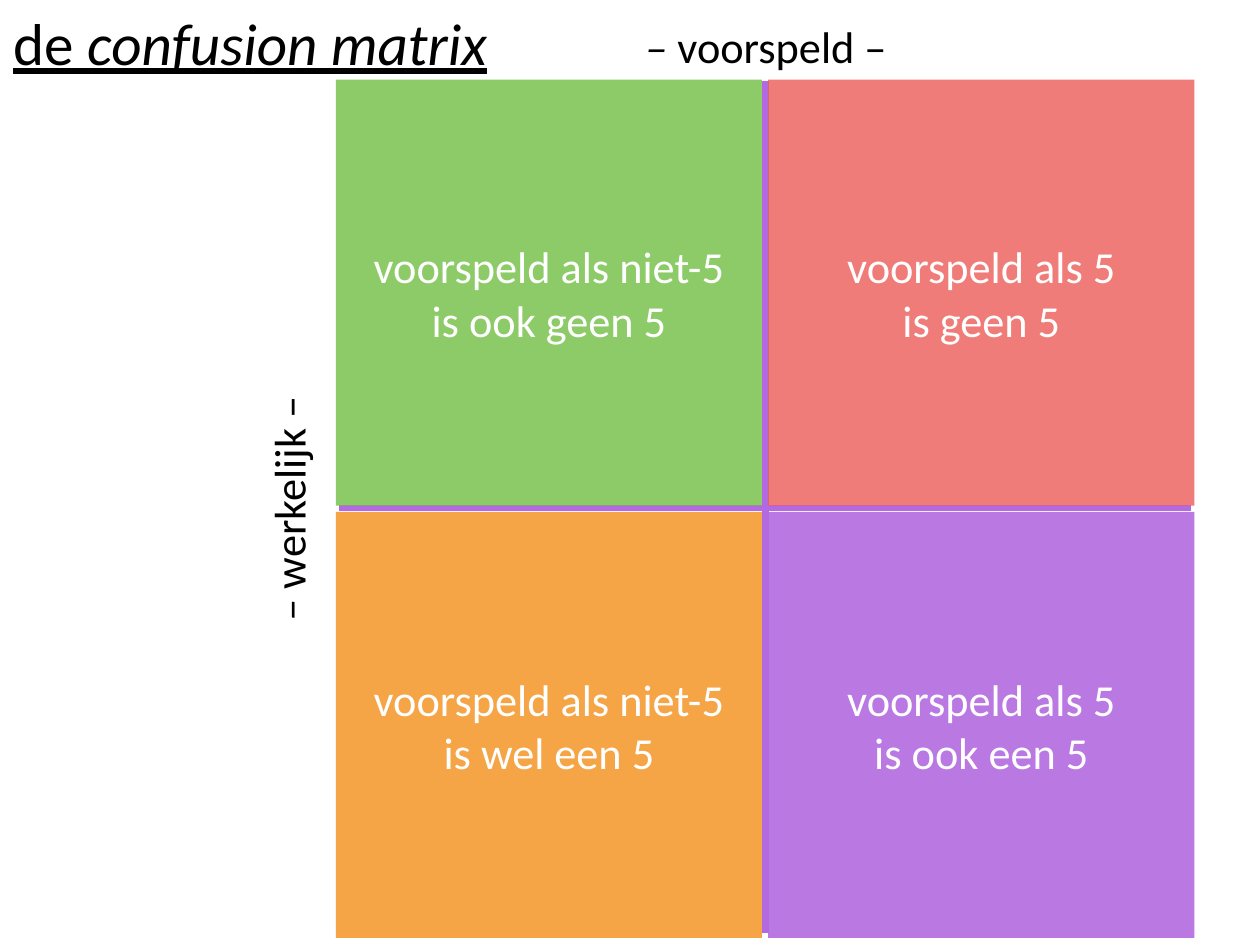
from dataclasses import dataclass

from lxml import etree
from pptx import Presentation
from pptx import util as u
from pptx.dml.color import RGBColor
from pptx.enum import shapes, text
from pptx.oxml.ns import qn


@dataclass(frozen=True)
class Theme:
    font: str = "Calibri"
    title_size: int = 48
    body_size: int = 36
    ink: str = "000000"
    light: str = "FFFFFF"
    green: str = "70BF41"
    red: str = "EC5C57"
    orange: str = "F38F18"
    purple: str = "B36AE1"


class MatrixSlide:
    """Draws styled elements on one title-only slide."""

    def __init__(self, deck, theme):
        self.theme = theme
        self.page = deck.slides.add_slide(deck.slide_layouts[5])

    def set_text(self, box, paragraphs, size, color, wrap=False):
        frame = box.text_frame
        frame.word_wrap = wrap
        frame.auto_size = text.MSO_AUTO_SIZE.NONE
        frame.vertical_anchor = text.MSO_ANCHOR.MIDDLE
        frame.margin_left = frame.margin_right = u.Inches(0.06)
        frame.margin_top = frame.margin_bottom = u.Inches(0.06)
        for index, spans in enumerate(paragraphs):
            para = frame.add_paragraph() if index else frame.paragraphs[0]
            para.alignment = text.PP_ALIGN.CENTER
            para.font.name = self.theme.font
            para.font.size = u.Pt(size)
            para.font.color.rgb = RGBColor.from_string(color)
            for words, italic in spans:
                span = para.add_run()
                span.text = words
                span.font.italic = italic

    def title(self, spans, left, top, width, height):
        box = self.page.shapes.title
        box.left, box.top = u.Inches(left), u.Inches(top)
        box.width, box.height = u.Inches(width), u.Inches(height)
        self.set_text(box, [spans], self.theme.title_size, self.theme.ink)
        for span in box.text_frame.paragraphs[0].runs:
            span.font.underline = True

    def label(self, spans, left, top, width, height, rotation=0):
        box = self.page.shapes.add_textbox(
            u.Inches(left), u.Inches(top), u.Inches(width), u.Inches(height))
        box.rotation = rotation
        self.set_text(box, [spans], self.theme.body_size, self.theme.ink)

    def divider(self, x1, y1, x2, y2):
        line = self.page.shapes.add_connector(
            shapes.MSO_CONNECTOR.STRAIGHT,
            u.Inches(x1), u.Inches(y1), u.Inches(x2), u.Inches(y2))
        line.line.color.rgb = RGBColor.from_string(self.theme.purple)
        line.line.width = u.Pt(5)
        etree.SubElement(line._element.spPr, qn("a:effectLst"))

    def quadrant(self, lines, left, top, side, color, opacity):
        box = self.page.shapes.add_shape(
            shapes.MSO_SHAPE.RECTANGLE,
            u.Inches(left), u.Inches(top), u.Inches(side), u.Inches(side))
        box.shadow.inherit = False
        box.line.fill.background()
        box.fill.solid()
        box.fill.fore_color.rgb = RGBColor.from_string(color)
        tint = box._element.spPr.find(qn("a:solidFill"))[0]
        etree.SubElement(tint, qn("a:alpha"), val=str(opacity * 1000))
        self.set_text(box, [[(words, False)] for words in lines],
                      self.theme.body_size, self.theme.light, wrap=True)


def main():
    deck = Presentation()
    deck.slide_width, deck.slide_height = u.Inches(14.22), u.Inches(10.67)
    theme = Theme()
    slide = MatrixSlide(deck, theme)

    slide.divider(8.64, 10.53, 8.64, 0.92)
    slide.divider(3.83, 5.74, 13.44, 5.74)
    slide.title([("de", False), (" confusion matrix", True)],
                0.09, 0.08, 5.47, 0.78)
    slide.label([("– ", True), ("voorspeld –", False)], 7.22, 0.21, 2.85, 0.61)
    slide.label([("– ", True), ("werkelijk –", False)],
                1.92, 5.44, 2.66, 0.61, rotation=270)

    left, top, side, pitch = 3.79, 0.9, 4.81, 4.88
    columns = ["voorspeld als niet-5", "voorspeld als 5"]
    outcomes = [
        [("is ook geen 5", theme.green, 80), ("is geen 5", theme.red, 80)],
        [("is wel een 5", theme.orange, 80), ("is ook een 5", theme.purple, 90)],
    ]
    for row, cells in enumerate(outcomes):
        for column, (actual, color, opacity) in enumerate(cells):
            slide.quadrant([columns[column], actual], left + column * pitch,
                           top + row * pitch, side, color, opacity)

    deck.save("out.pptx")


if __name__ == "__main__":
    main()
